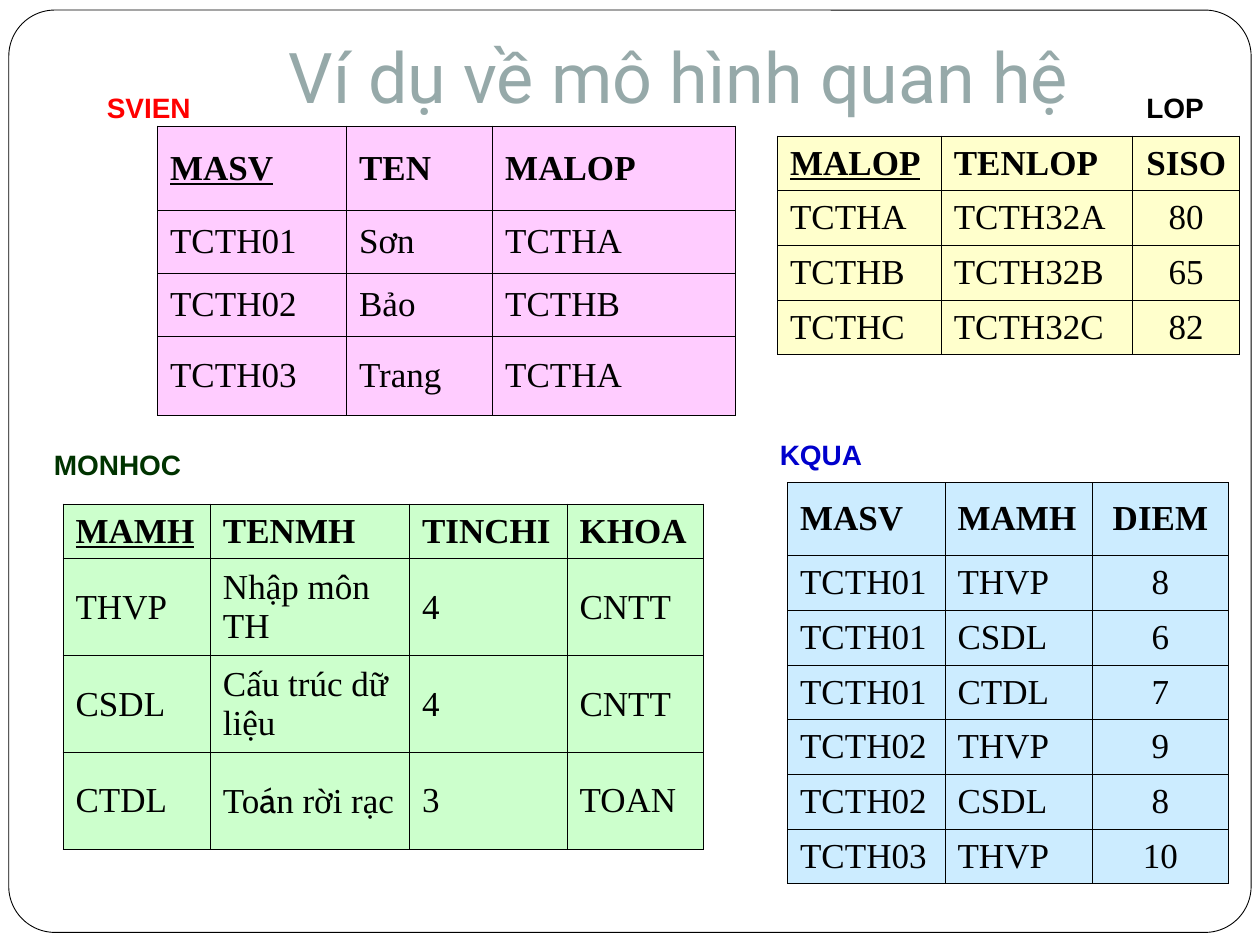
"""Build a slide that shows four example tables of the relational model."""
from dataclasses import dataclass

from lxml import etree
from pptx import Presentation
from pptx.dml.color import RGBColor
from pptx.enum.shapes import MSO_SHAPE
from pptx.enum.text import MSO_ANCHOR, PP_ALIGN
from pptx.oxml.ns import qn
from pptx.util import Inches, Pt

ROUNDED = MSO_SHAPE.ROUNDED_RECTANGLE
MIDDLE = MSO_ANCHOR.MIDDLE
LEFT, CENTER = PP_ALIGN.LEFT, PP_ALIGN.CENTER


@dataclass(frozen=True)
class Theme:
    """Colours, fonts and sizes of the slide."""
    ink: str = "000000"
    paper: str = "FFFFFF"
    title: str = "96A9A9"
    red: str = "FF0000"
    blue: str = "0000CC"
    green: str = "003300"
    pink_fill: str = "FFCCFF"
    yellow_fill: str = "FFFFCC"
    green_fill: str = "CCFFCC"
    blue_fill: str = "CCECFF"
    title_font: str = "Roboto"
    label_font: str = "Arial"
    cell_font: str = "Times New Roman"
    accent_font: str = "Cabin"
    title_size: int = 40
    label_size: int = 16
    cell_size: int = 20
    frame_line: float = 0.5
    border_line: float = 0.45


def write(frame, text, *, font, size, color, bold=False, underline=False, align=LEFT):
    """Write a string, or a list of (string, font) runs, into a text frame."""
    paragraph = frame.paragraphs[0]
    paragraph.alignment = align
    for words, face in [(text, font)] if isinstance(text, str) else text:
        run = paragraph.add_run()
        run.text = words
        run.font.name = face
        run.font.size = Pt(size)
        run.font.bold = bold
        run.font.underline = underline
        run.font.color.rgb = RGBColor.from_string(color)


class SlideBuilder:
    """Draws themed elements on one slide."""

    def __init__(self, slide, theme):
        """Keep the slide and its theme."""
        self.slide = slide
        self.theme = theme

    def frame(self, left, top, width, height, rounding):
        """Draw the rounded outline of the slide."""
        outline = self.slide.shapes.add_shape(
            ROUNDED, Inches(left), Inches(top), Inches(width), Inches(height))
        outline.shadow.inherit = False
        outline.adjustments[0] = rounding
        outline.fill.solid()
        outline.fill.fore_color.rgb = RGBColor.from_string(self.theme.paper)
        outline.line.color.rgb = RGBColor.from_string(self.theme.ink)
        outline.line.width = Pt(self.theme.frame_line)

    def text(self, words, left, top, width, height, **style):
        """Add a vertically centred text box."""
        box = self.slide.shapes.add_textbox(
            Inches(left), Inches(top), Inches(width), Inches(height))
        box.text_frame.word_wrap = True
        box.text_frame.vertical_anchor = MIDDLE
        write(box.text_frame, words, **style)

    def title(self, words, left, top, width, height):
        """Add the centred slide title."""
        self.text(words, left, top, width, height, font=self.theme.title_font,
                  size=self.theme.title_size, color=self.theme.title, align=CENTER)

    def label(self, words, left, top, width, color):
        """Add the bold name of a relation."""
        self.text(words, left, top, width, 0.37, font=self.theme.label_font,
                  size=self.theme.label_size, color=color, bold=True)

    def border(self, cell):
        """Draw a thin line on all four sides of a cell."""
        properties = cell._tc.get_or_add_tcPr()
        for side in ("a:lnL", "a:lnR", "a:lnT", "a:lnB"):
            line = etree.SubElement(
                properties, qn(side), w=str(int(Pt(self.theme.border_line))))
            fill = etree.SubElement(line, qn("a:solidFill"))
            etree.SubElement(fill, qn("a:srgbClr"), val=self.theme.ink)

    def relation(self, records, left, top, widths, heights, fill, key=None, centered=None):
        """Add a table with a bold header, an underlined key and a centred column."""
        table = self.slide.shapes.add_table(
            len(heights), len(widths), Inches(left), Inches(top),
            Inches(sum(widths)), Inches(sum(heights))).table
        for column, width in zip(table.columns, widths):
            column.width = Inches(width)
        for row, height in zip(table.rows, heights):
            row.height = Inches(height)
        for r, record in enumerate(records):
            for c, value in enumerate(record):
                cell = table.cell(r, c)
                self.border(cell)
                cell.fill.solid()
                cell.fill.fore_color.rgb = RGBColor.from_string(fill)
                cell.vertical_anchor = MIDDLE
                write(cell.text_frame, value, font=self.theme.cell_font,
                      size=self.theme.cell_size, color=self.theme.ink,
                      bold=r == 0, underline=r == 0 and c == key,
                      align=CENTER if c == centered else LEFT)


def main():
    """Build and save the slide."""
    theme = Theme()
    deck = Presentation()
    deck.slide_width, deck.slide_height = Inches(10), Inches(7.5)
    builder = SlideBuilder(deck.slides.add_slide(deck.slide_layouts[6]), theme)

    students = [("MASV", "TEN", "MALOP"),
                ("TCTH01", "Sơn", "TCTHA"),
                ("TCTH02", "Bảo", "TCTHB"),
                ("TCTH03", "Trang", "TCTHA")]
    results = [("MASV", "MAMH", "DIEM"),
               ("TCTH01", "THVP", "8"),
               ("TCTH01", "CSDL", "6"),
               ("TCTH01", "CTDL", "7"),
               ("TCTH02", "THVP", "9"),
               ("TCTH02", "CSDL", "8"),
               ("TCTH03", "THVP", "10")]
    discrete_maths = [("To", theme.cell_font), ("á", theme.accent_font),
                      ("n rời rạc", theme.cell_font)]
    subjects = [("MAMH", "TENMH", "TINCHI", "KHOA"),
                ("THVP", "Nhập môn TH", "4", "CNTT"),
                ("CSDL", "Cấu trúc dữ liệu", "4", "CNTT"),
                ("CTDL", discrete_maths, "3", "TOAN")]
    classes = [("MALOP", "TENLOP", "SISO"),
               ("TCTHA", "TCTH32A", "80"),
               ("TCTHB", "TCTH32B", "65"),
               ("TCTHC", "TCTH32C", "82")]

    builder.frame(0.07, 0.08, 9.86, 7.32, rounding=0.05)
    builder.title("Ví dụ về mô hình quan hệ", 0.77, 0.33, 9.23, 0.54)
    builder.label("MONHOC", 0.33, 3.5, 1.25, theme.green)
    builder.label("SVIEN", 0.75, 0.67, 0.92, theme.red)
    builder.relation(students, 1.25, 1, [1.5, 1.16, 1.93], [0.67, 0.5, 0.5, 0.63],
                     theme.pink_fill, key=0)
    builder.relation(results, 6.25, 3.83, [1.25, 1.17, 1.08], [0.58] + [0.43] * 6,
                     theme.blue_fill, centered=2)
    builder.relation(subjects, 0.5, 4, [1.17, 1.58, 1.25, 1.08], [0.43] + [0.77] * 3,
                     theme.green_fill, key=0)
    builder.label("KQUA", 6.09, 3.42, 0.92, theme.blue)
    builder.label("LOP", 9, 0.67, 0.72, theme.ink)
    builder.relation(classes, 6.17, 1.08, [1.3, 1.52, 0.85], [0.43] * 4,
                     theme.yellow_fill, key=0, centered=2)
    deck.save("out.pptx")


if __name__ == "__main__":
    main()
